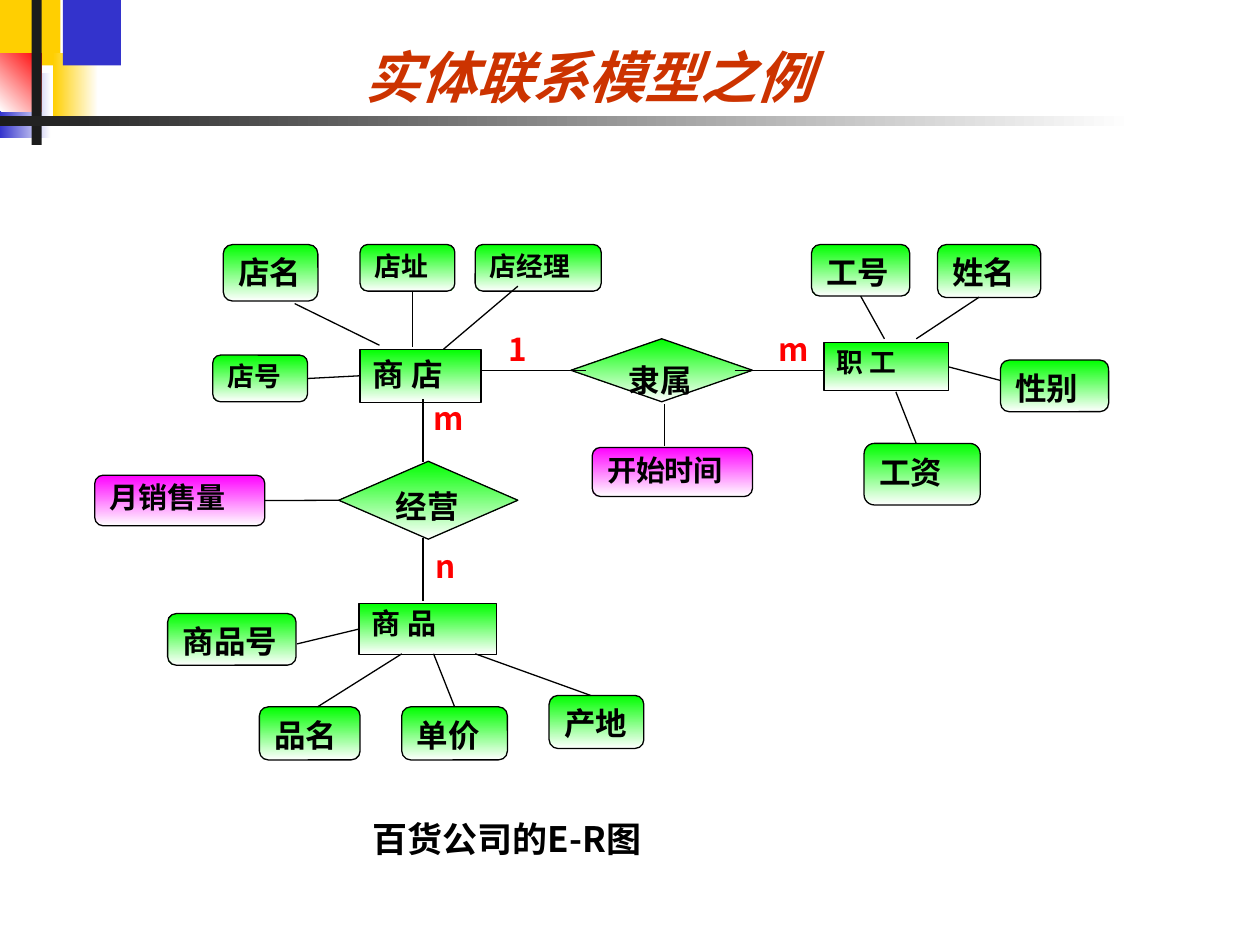
from lxml import etree
from pptx import Presentation
from pptx.dml.color import RGBColor
from pptx.enum.shapes import MSO_CONNECTOR, MSO_SHAPE
from pptx.enum.text import MSO_ANCHOR, PP_ALIGN
from pptx.oxml.ns import qn
from pptx.util import Cm, Pt

RECT = MSO_SHAPE.RECTANGLE
ROUND = MSO_SHAPE.ROUNDED_RECTANGLE
PROCESS = MSO_SHAPE.FLOWCHART_ALTERNATE_PROCESS
DIAMOND = MSO_SHAPE.FLOWCHART_DECISION
STRAIGHT = MSO_CONNECTOR.STRAIGHT
TOP, BOTTOM = MSO_ANCHOR.TOP, MSO_ANCHOR.BOTTOM
LEFT, CENTER, JUSTIFY = PP_ALIGN.LEFT, PP_ALIGN.CENTER, PP_ALIGN.JUSTIFY

TITLE_FONT, BODY_FONT = "Lato", "Noto Sans CJK SC"
COLORS = {
    "yellow": "FFCF01", "blue": "3333CC", "red": "FF0000", "dark": "1C1C1C",
    "white": "FFFFFF", "black": "000000", "title": "CC3300",
    "green": "00FF00", "magenta": "FF00FF",
}

# Corner decoration: left, top, width, height, colours, gradient angle
DECORATION = [
    (0, 0, 1.22, 1.32, ["yellow"], 0),
    (1.07, 1.07, 0.91, 1.32, ["yellow", "white"], 0),
    (1.27, 0, 1.17, 1.32, ["blue"], 0),
    (0, 1.47, 1.02, 1.32, ["blue", "white"], 0),
    (0, 1.07, 0.84, 1.17, ["white", "red"], 45),
    (0.64, 0, 0.2, 2.92, ["dark"], 0),
    (0, 2.34, 22.86, 0.2, ["dark", "white"], 0),
]

# Diagram nodes: text, shape, left, top, width, height, size, colour
NODES = [
    ("职 工", RECT, 16.61, 6.91, 2.51, 0.97, 15.3, "green"),
    ("商 品", RECT, 7.24, 12.17, 2.77, 1.02, 16.6, "green"),
    ("商 店", RECT, 7.26, 7.04, 2.44, 1.07, 18, "green"),
    ("店号", ROUND, 4.29, 7.16, 1.91, 0.94, 15.3, "green"),
    ("店址", ROUND, 7.26, 4.93, 1.91, 0.94, 15.3, "green"),
    ("店名", ROUND, 4.5, 4.93, 1.91, 1.14, 18, "green"),
    ("产地", ROUND, 11.07, 14.02, 1.91, 1.07, 18, "green"),
    ("单价", ROUND, 8.1, 14.25, 2.13, 1.07, 18, "green"),
    ("品名", ROUND, 5.23, 14.25, 2.03, 1.07, 18, "green"),
    ("工资", ROUND, 17.42, 8.94, 2.34, 1.24, 18, "green"),
    ("性别", ROUND, 20.17, 7.26, 2.18, 1.04, 18, "green"),
    ("姓名", ROUND, 18.9, 4.93, 2.08, 1.07, 18, "green"),
    ("工号", ROUND, 16.36, 4.93, 1.98, 1.04, 18, "green"),
    ("店经理", PROCESS, 9.58, 4.93, 2.54, 0.94, 15.3, "green"),
    ("商品号", PROCESS, 3.38, 12.37, 2.59, 1.04, 18, "green"),
    ("开始时间", PROCESS, 11.94, 9.02, 3.23, 0.99, 16.6, "magenta"),
    ("月销售量", PROCESS, 1.91, 9.58, 3.43, 1.02, 16.6, "magenta"),
    ("经营", DIAMOND, 6.83, 9.3, 3.61, 1.57, 18, "green"),
    ("隶属", DIAMOND, 11.51, 6.83, 3.66, 1.27, 18, "green"),
]

# Lines: start x, y, end x, y, then the joined (node, side) at start and end
LINKS = [
    (6.2, 7.57, 7.26, 7.57, ("店号", 3), ("商 店", 1)),
    (5.94, 6.12, 7.65, 6.96, None, None),
    (8.31, 5.89, 8.31, 6.99, None, None),
    (10.44, 5.77, 8.94, 7.04, None, None),
    (9.7, 7.47, 11.81, 7.47, None, None),
    (14.81, 7.47, 16.59, 7.47, None, None),
    (17.42, 5.99, 17.83, 6.83, ("工号", 2), None),
    (19.74, 5.99, 18.47, 6.83, None, None),
    (19.1, 7.47, 20.17, 7.67, ("职 工", 3), None),
    (18.06, 7.9, 18.47, 8.94, None, None),
    (8.53, 8.05, 8.53, 9.32, None, None),
    (8.53, 10.85, 8.53, 12.12, None, None),
    (5.36, 10.06, 6.83, 10.06, ("月销售量", 3), ("经营", 1)),
    (5.99, 12.98, 7.26, 12.75, None, ("商 品", 1)),
    (6.4, 14.25, 8.1, 13.18, None, None),
    (8.74, 13.18, 9.17, 14.25, None, ("单价", 0)),
    (9.58, 13.18, 11.91, 14.02, None, None),
    (13.39, 8.15, 13.39, 8.99, None, None),
]

CARDINALITIES = [("1", 10.01, 6.53), ("n", 8.53, 10.9),
                 ("m", 8.48, 7.92), ("m", 15.44, 6.53)]


def rgb(name):
    return RGBColor.from_string(COLORS[name])


def write_text(shape, text, size, color="black", font=BODY_FONT, align=LEFT,
               anchor=TOP, italic=False):
    frame = shape.text_frame
    frame.word_wrap = True
    frame.vertical_anchor = anchor
    paragraph = frame.paragraphs[0]
    paragraph.text = text
    paragraph.alignment = align
    if size < 18:
        paragraph.line_spacing = 0.9
    paragraph.font.size = Pt(size)
    paragraph.font.bold = True
    paragraph.font.italic = italic
    paragraph.font.name = font
    paragraph.font.color.rgb = rgb(color)
    # Chinese glyphs take their font from the East Asian setting
    properties = paragraph._p.pPr.find(qn("a:defRPr"))
    etree.SubElement(properties, qn("a:ea"), typeface=BODY_FONT)


def add_text(slide, text, left, top, width, height, size, **style):
    box = slide.shapes.add_textbox(Cm(left), Cm(top), Cm(width), Cm(height))
    write_text(box, text, size, **style)


def add_filled_shape(slide, kind, left, top, width, height, colors, angle):
    shape = slide.shapes.add_shape(kind, Cm(left), Cm(top), Cm(width), Cm(height))
    shape.shadow.inherit = False
    shape.line.fill.background()
    if len(colors) == 1:
        shape.fill.solid()
        shape.fill.fore_color.rgb = rgb(colors[0])
    else:
        shape.fill.gradient()
        shape.fill.gradient_angle = angle
        for stop, color in zip(shape.fill.gradient_stops, colors):
            stop.color.rgb = rgb(color)
    return shape


def add_node(slide, text, kind, left, top, width, height, size, color):
    shape = add_filled_shape(slide, kind, left, top, width, height,
                             [color, "white"], 270)
    shape.line.color.rgb = rgb("black")
    shape.line.width = Pt(0.75)
    write_text(shape, text, size, align=JUSTIFY if kind == RECT else LEFT)
    return shape


def add_link(slide, nodes, x1, y1, x2, y2, start, end):
    link = slide.shapes.add_connector(STRAIGHT, Cm(x1), Cm(y1), Cm(x2), Cm(y2))
    link.line.color.rgb = rgb("black")
    link.line.width = Pt(0.75)
    etree.SubElement(link._element.spPr, qn("a:effectLst"))
    if start:
        link.begin_connect(nodes[start[0]], start[1])
    if end:
        link.end_connect(nodes[end[0]], end[1])


def main():
    presentation = Presentation()
    presentation.slide_width, presentation.slide_height = Cm(25.4), Cm(19.05)
    slide = presentation.slides.add_slide(presentation.slide_layouts[6])

    # Decoration and title
    for block in DECORATION:
        add_filled_shape(slide, RECT, *block)
    add_text(slide, "实体联系模型之例", 3.2, 0, 17.32, 2.34, 32, color="title",
             font=TITLE_FONT, align=CENTER, anchor=BOTTOM, italic=True)

    # Entities, attributes and relationships, then the lines between them
    nodes = {node[0]: add_node(slide, *node) for node in NODES}
    for link in LINKS:
        add_link(slide, nodes, *link)

    # Cardinalities and caption
    for text, left, top in CARDINALITIES:
        add_text(slide, text, left, top, 0.84, 1.02, 18, color="red")
    add_text(slide, "百货公司的E-R图", 7.26, 16.36, 10.8, 1.12, 20)

    presentation.save("out.pptx")


if __name__ == "__main__":
    main()
